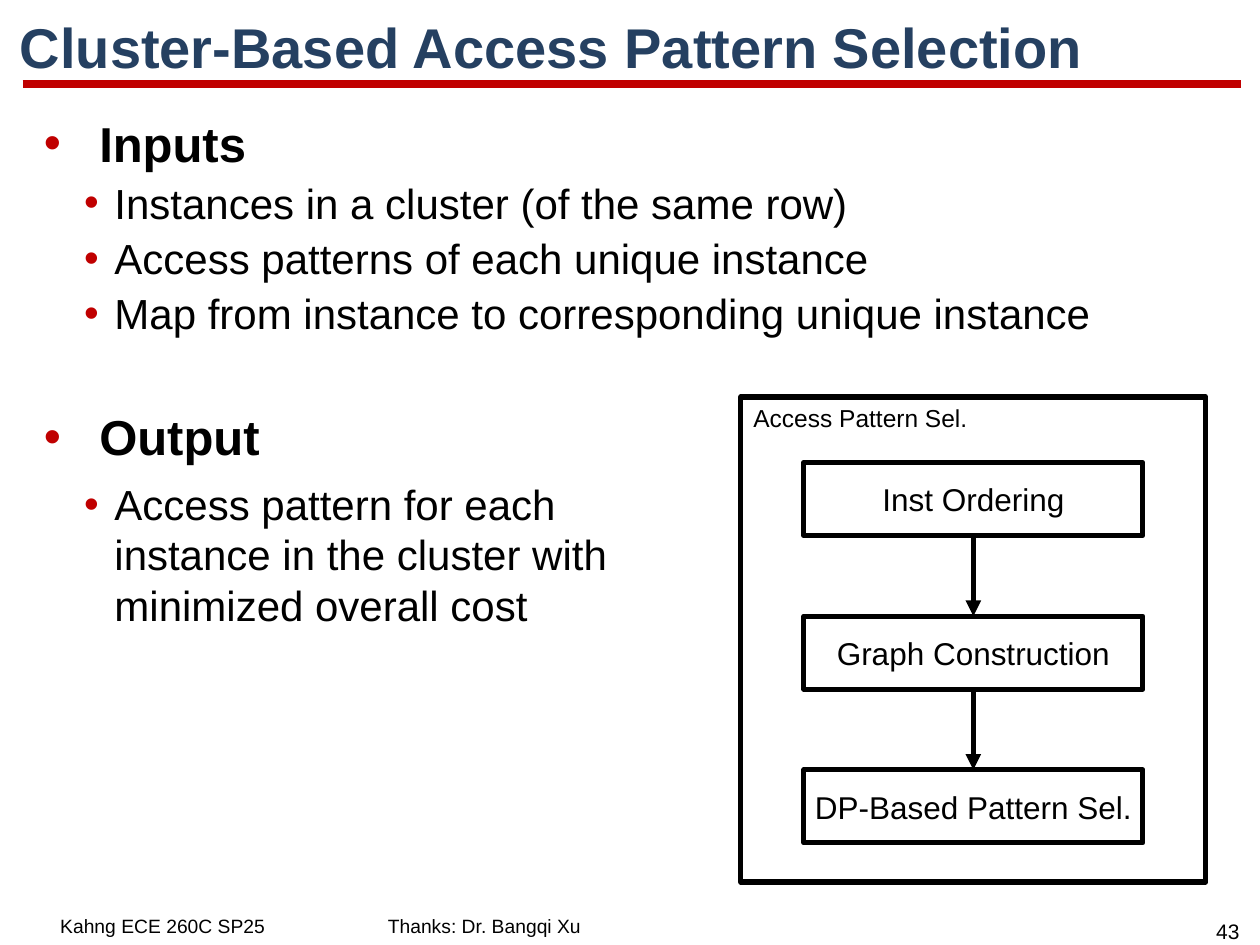
from dataclasses import dataclass

from lxml import etree
from pptx import Presentation
from pptx.dml.color import RGBColor
from pptx.enum.shapes import MSO_CONNECTOR, MSO_SHAPE
from pptx.enum.text import MSO_ANCHOR, PP_ALIGN
from pptx.oxml.ns import qn
from pptx.util import Inches, Pt

STRAIGHT = MSO_CONNECTOR.STRAIGHT
RECT = MSO_SHAPE.RECTANGLE
TOP, MIDDLE = MSO_ANCHOR.TOP, MSO_ANCHOR.MIDDLE
LEFT, CENTER = PP_ALIGN.LEFT, PP_ALIGN.CENTER


@dataclass(frozen=True)
class Theme:
    font: str = "Arial"
    ink: str = "000000"
    title: str = "254061"
    accent: str = "C00000"
    title_size: int = 32
    head_size: int = 28
    item_size: int = 24
    step_size: int = 18
    label_size: int = 14
    number_size: int = 12
    footer_size: int = 11
    rule_width: float = 4.5
    line_width: float = 3


THEME = Theme()

# Text, level, line spacing, space before in points
BODY = [
    ("Inputs", 0, 0.85, 0),
    ("Instances in a cluster (of the same row)", 1, 0.85, 7.2),
    ("Access patterns of each unique instance", 1, 0.85, 7.2),
    ("Map from instance to corresponding unique instance", 1, 0.85, 7.2),
    ("Output", 0, 0.85, 44.2),
    ("Access pattern for each \vinstance in the cluster with\v"
     "minimized overall cost", 1, 1.0, 7.2),
]
STEPS = ["Inst Ordering", "Graph Construction", "DP-Based Pattern Sel."]
STEP_TOP, STEP_PITCH = 3.67, 1.22


def style(p, size, color=THEME.ink, bold=False):
    for r in p.runs:
        r.font.name = THEME.font
        r.font.size = Pt(size)
        r.font.bold = bold
        r.font.color.rgb = RGBColor.from_string(color)


def add_text(s, box, text, size, color=THEME.ink, bold=False,
             align=LEFT, anchor=TOP):
    tf = s.shapes.add_textbox(*map(Inches, box)).text_frame
    tf.word_wrap = True
    tf.vertical_anchor = anchor
    tf.text = text
    p = tf.paragraphs[0]
    p.alignment = align
    style(p, size, color, bold)


def add_bullet(p, margin, indent):
    pPr = p._p.get_or_add_pPr()
    pPr.set("marL", str(Inches(margin)))
    pPr.set("indent", str(Inches(indent)))
    color = etree.SubElement(pPr, qn("a:buClr"))
    etree.SubElement(color, qn("a:srgbClr"), val=THEME.accent)
    etree.SubElement(pPr, qn("a:buFont"), typeface=THEME.font)
    etree.SubElement(pPr, qn("a:buChar"), char="•")


def add_body(s, box):
    tf = s.shapes.add_textbox(*map(Inches, box)).text_frame
    tf.word_wrap = True
    for i, (text, level, spacing, before) in enumerate(BODY):
        p = tf.add_paragraph() if i else tf.paragraphs[0]
        p.text = text
        p.level = level
        p.line_spacing = spacing
        p.space_before = Pt(before)
        if level:
            add_bullet(p, 0.62, -0.24)
            style(p, THEME.item_size)
        else:
            add_bullet(p, 0.5, -0.44)
            style(p, THEME.head_size, bold=True)


def add_box(s, box, text, size, align=CENTER, anchor=MIDDLE):
    sp = s.shapes.add_shape(RECT, *map(Inches, box))
    sp.shadow.inherit = False
    sp.fill.background()
    sp.line.color.rgb = RGBColor.from_string(THEME.ink)
    sp.line.width = Pt(THEME.line_width)
    tf = sp.text_frame
    tf.word_wrap = False
    tf.vertical_anchor = anchor
    tf.text = text
    tf.paragraphs[0].alignment = align
    style(tf.paragraphs[0], size)
    return sp


def add_line(s, start, end, color, width):
    line = s.shapes.add_connector(STRAIGHT, *map(Inches, (*start, *end)))
    line.line.color.rgb = RGBColor.from_string(color)
    line.line.width = Pt(width)
    etree.SubElement(line._element.spPr, qn("a:effectLst"))
    return line


def add_arrow(s, upper, lower):
    """Join the bottom of one box to the top of the next."""
    arrow = add_line(s, (0, 0), (0, 0), THEME.ink, THEME.line_width)
    arrow.begin_connect(upper, 2)
    arrow.end_connect(lower, 0)
    etree.SubElement(arrow.line._get_or_add_ln(), qn("a:tailEnd"),
                     type="triangle")


def add_flow(s):
    add_box(s, (5.88, 3.15, 3.69, 3.85), "Access Pattern Sel.",
            THEME.label_size, LEFT, TOP)
    steps = [add_box(s, (6.38, STEP_TOP + i * STEP_PITCH, 2.69, 0.58),
                     text, THEME.step_size)
             for i, text in enumerate(STEPS)]
    for upper, lower in zip(steps, steps[1:]):
        add_arrow(s, upper, lower)


def main():
    prs = Presentation()
    prs.slide_width, prs.slide_height = Inches(10), Inches(7.5)
    s = prs.slides.add_slide(prs.slide_layouts[6])
    add_line(s, (0.18, 0.67), (9.85, 0.67), THEME.accent, THEME.rule_width)
    add_text(s, (9.5, 7.24, 0.49, 0.3), "43", THEME.number_size, align=CENTER)
    add_body(s, (0.19, 0.92, 9.66, 6.08))
    add_text(s, (0.06, 0.04, 9.93, 0.65),
             "Cluster-Based Access Pattern Selection", THEME.title_size,
             THEME.title, bold=True, anchor=MIDDLE)
    add_flow(s)
    for left, text in ((0.38, "Kahng ECE 260C SP25"),
                       (2.98, "Thanks: Dr. Bangqi Xu")):
        add_text(s, (left, 7.21, 1.87, 0.27), text, THEME.footer_size)
    prs.save("out.pptx")


if __name__ == "__main__":
    main()
